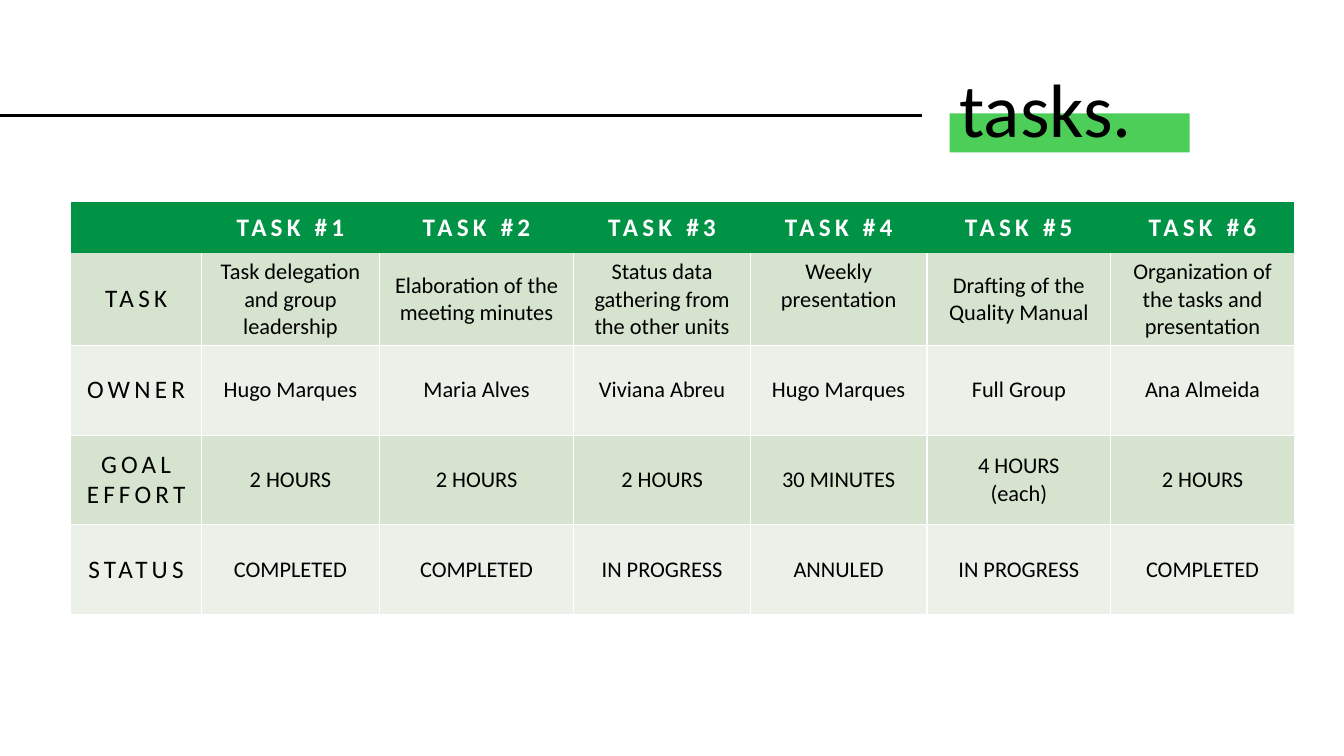
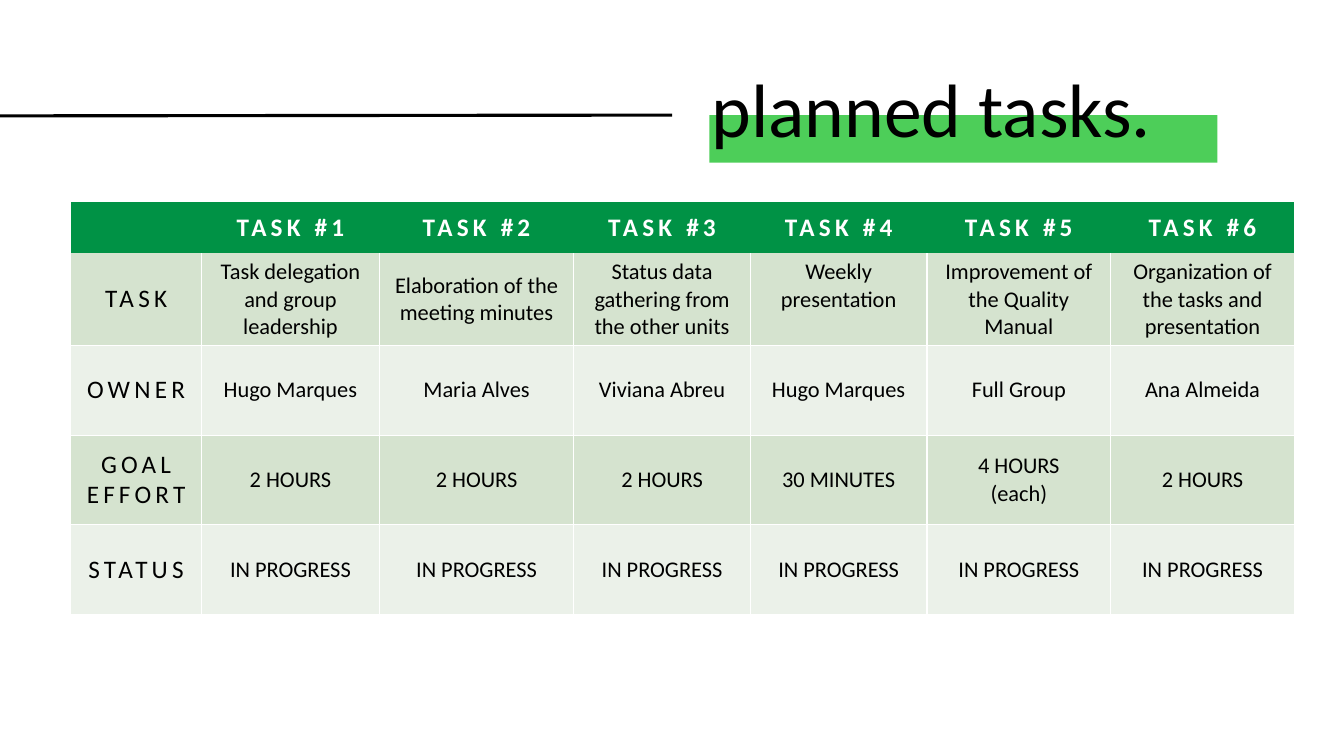
from lxml.etree import SubElement
from pptx import Presentation
from pptx.dml.color import RGBColor
from pptx.enum.shapes import MSO_CONNECTOR, MSO_SHAPE
from pptx.enum.text import MSO_ANCHOR, MSO_AUTO_SIZE, PP_ALIGN
from pptx.oxml.ns import qn
from pptx.util import Cm, Pt

BLACK = RGBColor(0x00, 0x00, 0x00)
WHITE = RGBColor(0xFF, 0xFF, 0xFF)
HIGHLIGHT = RGBColor(0x4D, 0xCE, 0x59)
HEADER_GREEN = RGBColor(0x00, 0x92, 0x45)
ROW_FILLS = [RGBColor(0xD5, 0xE3, 0xCF), RGBColor(0xEB, 0xF1, 0xE9)]
FONT = "Calibri"
PLAIN_TABLE_STYLE = "{2D5ABB26-0587-4C30-8999-92F81FD0307C}"

COL_WIDTHS = [3.3, 4.48, 4.9, 4.45, 4.45, 4.63, 4.63]
HEADER_HEIGHT = 1.3
ROW_HEIGHT = 2.26
RAISED_TEXT = "Weekly presentation"

HEADINGS = [""] + [f"TASK #{n}" for n in range(1, 7)]
OWNERS = ["OWNER", "Hugo Marques", "Maria Alves", "Viviana Abreu",
          "Hugo Marques", "Full Group", "Ana Almeida"]
EFFORTS = ["GOAL\nEFFORT", "2 HOURS", "2 HOURS", "2 HOURS",
           "30 MINUTES", "4 HOURS\n(each)", "2 HOURS"]
DONE_STATUS = ["COMPLETED", "COMPLETED", "IN PROGRESS",
               "ANNULED", "IN PROGRESS", "COMPLETED"]
PLANNED_STATUS = ["IN PROGRESS"] * 6


def task_rows(manual_task, statuses):
    tasks = ["TASK", "Task delegation and group leadership",
             "Elaboration of the meeting minutes",
             "Status data gathering from the other units",
             RAISED_TEXT, manual_task,
             "Organization of the tasks and presentation"]
    return [HEADINGS, tasks, OWNERS, EFFORTS, ["STATUS"] + statuses]


def add_highlight(s, left, top, width, height):
    sp = s.shapes.add_shape(MSO_SHAPE.RECTANGLE, Cm(left), Cm(top), Cm(width), Cm(height))
    sp.shadow.inherit = False
    sp.fill.solid()
    sp.fill.fore_color.rgb = HIGHLIGHT
    sp.line.fill.background()


def add_rule(s, end_x, end_y):
    line = s.shapes.add_connector(MSO_CONNECTOR.STRAIGHT, 0, Cm(2.92), Cm(end_x), Cm(end_y))
    line.line.color.rgb = BLACK
    line.line.width = Pt(2.25)
    SubElement(line.element.spPr, qn("a:effectLst"))


def set_title(s, text, left, width):
    title = s.shapes.title
    title.left, title.top, title.width, title.height = Cm(left), Cm(1.02), Cm(width), Cm(3.68)
    tf = title.text_frame
    tf.text = text
    tf.auto_size = MSO_AUTO_SIZE.NONE
    tf.vertical_anchor = MSO_ANCHOR.MIDDLE
    p = tf.paragraphs[0]
    p.alignment = PP_ALIGN.LEFT
    p.line_spacing = 0.9
    p.font.name = FONT
    p.font.size = Pt(54)
    p.font.color.rgb = BLACK
    title.element.getparent().append(title.element)


def set_borders(cell, sides):
    tcPr = cell._tc.get_or_add_tcPr()
    for side in sides:
        ln = SubElement(tcPr, qn(f"a:ln{side}"), w=str(Pt(1)))
        fill = SubElement(ln, qn("a:solidFill"))
        SubElement(fill, qn("a:srgbClr"), val=str(WHITE))


def format_cell(cell, text, fill, color, is_label, is_header):
    cell.fill.solid()
    cell.fill.fore_color.rgb = fill
    cell.vertical_anchor = MSO_ANCHOR.MIDDLE
    cell.text = text
    if text == RAISED_TEXT:
        cell.margin_bottom = Cm(0.81)
    for p in cell.text_frame.paragraphs:
        p.alignment = PP_ALIGN.CENTER
        p.font.name = FONT
        p.font.size = Pt(18 if is_label else 16)
        p.font.bold = is_header
        p.font.color.rgb = color
        if is_label:
            p._p.pPr.defRPr.set("spc", "300")


def add_task_table(s, rows):
    height = HEADER_HEIGHT + ROW_HEIGHT * (len(rows) - 1)
    frame = s.shapes.add_table(len(rows), len(COL_WIDTHS), Cm(1.78), Cm(5.08),
                               Cm(sum(COL_WIDTHS)), Cm(height))
    table = frame.table
    table.horz_banding = False
    table._tbl.tblPr.find(qn("a:tableStyleId")).text = PLAIN_TABLE_STYLE
    for column, width in zip(table.columns, COL_WIDTHS):
        column.width = Cm(width)
    for i, texts in enumerate(rows):
        is_header = i == 0
        table.rows[i].height = Cm(HEADER_HEIGHT if is_header else ROW_HEIGHT)
        fill = HEADER_GREEN if is_header else ROW_FILLS[(i - 1) % 2]
        color = WHITE if is_header else BLACK
        sides = "" if is_header else "LRB" if i == 1 else "LRTB"
        for j, text in enumerate(texts):
            cell = table.cell(i, j)
            set_borders(cell, sides)
            format_cell(cell, text, fill, color, is_header or j == 0, is_header)


def add_task_slide(prs, title, title_span, highlight, rule_end, rows):
    s = prs.slides.add_slide(prs.slide_layouts[5])
    add_highlight(s, *highlight)
    add_rule(s, *rule_end)
    add_task_table(s, rows)
    set_title(s, title, *title_span)


def main():
    prs = Presentation()
    prs.slide_width, prs.slide_height = Cm(33.87), Cm(19.05)
    add_task_slide(prs, "tasks.", (23.93, 7.59), (23.93, 2.86, 6.05, 0.98), (23.24, 2.92),
                   task_rows("Drafting of the Quality Manual", DONE_STATUS))
    add_task_slide(prs, "planned tasks.", (17.68, 13.84), (17.88, 2.9, 12.8, 1.2), (16.94, 2.9),
                   task_rows("Improvement of the Quality Manual", PLANNED_STATUS))
    prs.save("out.pptx")


if __name__ == "__main__":
    main()
